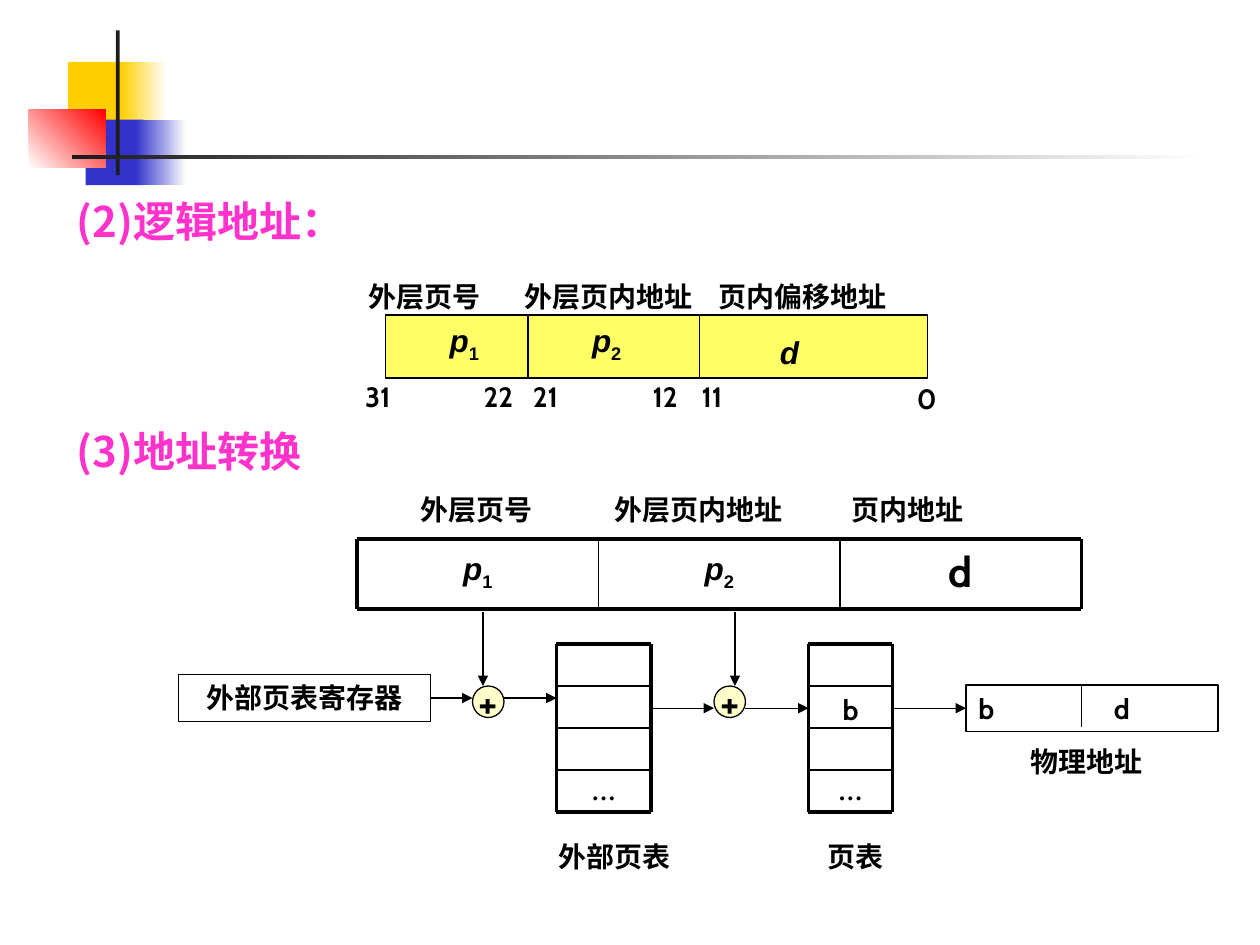
import pptx
import pptx.dml.color
import pptx.enum.shapes
import pptx.enum.text
import pptx.oxml
import pptx.oxml.ns
import pptx.util

Pt = pptx.util.Pt
SHAPE = pptx.enum.shapes.MSO_SHAPE
ALIGN = pptx.enum.text.PP_ALIGN
ANCHOR = pptx.enum.text.MSO_ANCHOR
BLACK = "000000"
LABEL = {"size": Pt(16), "name": "Cabin", "bold": True}
SERIF_LABEL = {**LABEL, "name": "Times New Roman"}
LETTER = {**LABEL, "size": Pt(24)}
SYMBOL = {"size": Pt(18), "name": "Arial", "bold": True, "italic": True}
ELLIPSIS = {**SERIF_LABEL, "size": Pt(14)}
HEADING = {"size": Pt(24), "name": "Noto Sans CJK SC", "bold": True}


def color(value):
    return pptx.dml.color.RGBColor.from_string(value)


def set_attributes(target, values):
    for name, value in values.items():
        setattr(target, name, value)


def add_run(paragraph, text, font, ink=BLACK):
    run = paragraph.add_run()
    run.text = text
    set_attributes(run.font, font)
    run.font.color.rgb = color(ink)
    return run


def write(shape, text, font, subscript="", align=ALIGN.LEFT, anchor=ANCHOR.TOP, wrap=True):
    frame = shape.text_frame
    set_attributes(frame, {"word_wrap": wrap, "vertical_anchor": anchor})
    paragraph = frame.paragraphs[0]
    paragraph.alignment = align
    add_run(paragraph, text, font)
    if subscript:
        paragraph.line_spacing = 1.1
        run = add_run(paragraph, subscript, {**font, "italic": False})
        run._r.get_or_add_rPr().set("baseline", "-25000")


def add_text(slide, box, text, font, **layout):
    shape = slide.shapes.add_textbox(*map(Pt, box))
    write(shape, text, font, **layout)
    return shape


def add_shape(slide, box, fill=None, outline=None, kind=SHAPE.RECTANGLE):
    shape = slide.shapes.add_shape(kind, *map(Pt, box))
    shape.shadow.inherit = False
    if fill:
        shape.fill.solid()
        shape.fill.fore_color.rgb = color(fill)
    else:
        shape.fill.background()
    if outline:
        shape.line.color.rgb = color(outline)
        shape.line.width = Pt(0.75)
    else:
        shape.line.fill.background()
    return shape


def add_gradient(slide, box, start, end, angle=0):
    shape = add_shape(slide, box)
    shape.fill.gradient()
    shape.fill.gradient_angle = angle
    for stop, position, value in zip(shape.fill.gradient_stops, (0, 1), (start, end)):
        stop.position = position
        stop.color.rgb = color(value)


def add_line(slide, start, end, width=0.75, arrow=False):
    line = slide.shapes.add_connector(
        pptx.enum.shapes.MSO_CONNECTOR.STRAIGHT, *map(Pt, (*start, *end)))
    line.line.color.rgb = color(BLACK)
    line.line.width = Pt(width)
    if arrow:
        head = pptx.oxml.parse_xml(
            f'<a:tailEnd {pptx.oxml.ns.nsdecls("a")} type="triangle"/>')
        line.line._get_or_add_ln().append(head)
    line._element.spPr.append(
        pptx.oxml.parse_xml(f'<a:effectLst {pptx.oxml.ns.nsdecls("a")}/>'))
    return line


def add_grid(slide, box, columns, rows):
    """Draw evenly spaced rules, heavy on the frame and thin inside."""
    left, top, width, height = box
    for row in range(rows + 1):
        y = top + height * row / rows
        add_line(slide, (left, y), (left + width, y), 2.25 if row in (0, rows) else 1)
    for column in range(columns + 1):
        x = left + width * column / columns
        add_line(slide, (x, top), (x, top + height), 2.25 if column in (0, columns) else 1)


def add_decoration(slide, left, top):
    add_shape(slide, (left + 22.3, top + 18, 34.6, 37.4), "FFCF01")
    add_gradient(slide, (left + 52.6, top + 18, 25.9, 37.4), "FFCF01", "FFFFFF")
    add_shape(slide, (left + 32.4, top + 51.1, 33.1, 37.4), "3333CC")
    add_gradient(slide, (left + 61.2, top + 51.1, 28.8, 37.4), "3333CC", "FFFFFF")
    add_gradient(slide, (left, top + 45.3, 43.9, 33.1), "FFFFFF", "FF0000", 45)
    add_shape(slide, (left + 49.7, top, 2.2, 82.8), "1C1C1C")
    add_gradient(slide, (left + 24.5, top + 71.3, 648, 2.2), "1C1C1C", "FFFFFF")


def add_headings(slide, box):
    frame = slide.shapes.add_textbox(*map(Pt, box)).text_frame
    frame.word_wrap = True
    for paragraph, text, gap in (
            (frame.paragraphs[0], "(2)逻辑地址：", 0),
            (frame.add_paragraph(), "(3)地址转换", 97.2)):
        set_attributes(paragraph, {"line_spacing": 1.2, "space_before": Pt(gap)})
        add_run(paragraph, text, HEADING, "FF33CC")


def add_logical_address(slide, box):
    left, top, width, height = box
    add_shape(slide, box, "FFFF66", BLACK)
    for x, y, text, subscript in (
            (29.5, -1.4, "p", "1"), (110.9, -1.4, "p", "2"), (215.3, 5, "d", "")):
        add_text(slide, (left + x, top + y, 31, 31.7), text, SYMBOL, subscript=subscript,
                 align=ALIGN.CENTER, anchor=ANCHOR.MIDDLE, wrap=False)
    for x in (left + 81.4, left + 179.3):
        add_line(slide, (x, top), (x, top + height))
    for x, text in ((-16.6, "外层页号"), (72.5, "外层页内地址"), (183.4, "页内偏移地址")):
        add_text(slide, (left + x, top - 23.8, 115, 26.6), text, SERIF_LABEL)
    for x, bit in ((-18.7, "31"), (49, "22"), (77.1, "21"), (145.5, "12"), (173.5, "11")):
        add_text(slide, (left + x, top + 33.1, 39.6, 26.6), bit, LABEL)
    add_text(slide, (left + width - 13, top + 34.6, 24.5, 26.6), "0", LABEL)


def add_address_fields(slide, box):
    left, top, width, height = box
    cell = width / 3
    for column, (text, font, subscript) in enumerate(
            (("p", SYMBOL, "1"), ("p", SYMBOL, "2"), ("d", LETTER, ""))):
        add_text(slide, (left + cell * column, top, cell, height), text, font,
                 subscript=subscript, align=ALIGN.CENTER)
    add_grid(slide, box, 3, 1)
    for x, text in ((29.4, "外层页号"), (140.2, "外层页内地址"), (275.7, "页内地址")):
        add_text(slide, (left + x, top - 30.1, 115, 26.6), text, LABEL)


def add_page_table(slide, box, cells, caption, caption_left):
    """Draw a four-row table; cells maps a row number to its text and font."""
    left, top, width, height = box
    row_height = height / 4
    for row, (text, font) in cells.items():
        add_text(slide, (left, top + row * row_height, width, row_height),
                 text, font, align=ALIGN.CENTER)
    add_grid(slide, box, 1, 4)
    add_text(slide, (caption_left, top + height + 12, 84, 26.6), caption, LABEL)


def add_register(slide, box):
    register = add_shape(slide, box, outline=BLACK)
    write(register, "外部页表寄存器", LABEL, align=ALIGN.CENTER)
    return register


def add_physical_address(slide, box):
    left, top, width, height = box
    address = add_shape(slide, box, outline=BLACK)
    write(address, "b", LABEL)
    add_text(slide, (left + 77.4, top, 40, height), "d", LABEL)
    add_line(slide, (left + 66, top), (left + 66, top + 24))
    add_text(slide, (left + 29.8, top + 30.4, 84, 26.6), "物理地址", LABEL)
    return address


def add_adder(slide, box):
    left, top, width, height = box
    adder = add_shape(slide, box, "FFFFCC", BLACK, SHAPE.OVAL)
    write(adder, "+", LETTER, align=ALIGN.CENTER, anchor=ANCHOR.MIDDLE, wrap=False)


def add_translation(slide):
    add_address_fields(slide, (204, 308, 414, 40))
    add_page_table(slide, (318, 368, 54, 96), {3: ("…", ELLIPSIS)}, "外部页表", 312)
    add_page_table(slide, (462, 368, 48, 96),
                   {1: ("b", LABEL), 3: ("…", ELLIPSIS)}, "页表", 466)
    register = add_register(slide, (102, 385.6, 144, 26.6))
    address = add_physical_address(slide, (552, 391.4, 144, 26.6))
    for x, arrow_x in ((270, 276), (408, 420)):
        add_adder(slide, (x, 392, 18, 18))
        add_line(slide, (arrow_x, 350), (arrow_x, 392), arrow=True)
    upper, lower = 398.9, 404.7
    from_register, _, _, _, to_address = [
        add_line(slide, (start, y), (end, y), arrow=True)
        for start, end, y in ((246, 270, upper), (288, 318, upper), (372, 408, lower),
                              (426, 462, lower), (510, 552, lower))]
    from_register.begin_connect(register, 3)
    to_address.end_connect(address, 1)


def main():
    presentation = pptx.Presentation()
    set_attributes(presentation, {"slide_width": Pt(720), "slide_height": Pt(540)})
    slide = presentation.slides.add_slide(presentation.slide_layouts[6])
    add_decoration(slide, 16.5, 17.3)
    add_headings(slide, (36.7, 102.2, 635, 388.8))
    add_translation(slide)
    add_logical_address(slide, (220.3, 180, 309.6, 36))
    presentation.save("out.pptx")


if __name__ == "__main__":
    main()
